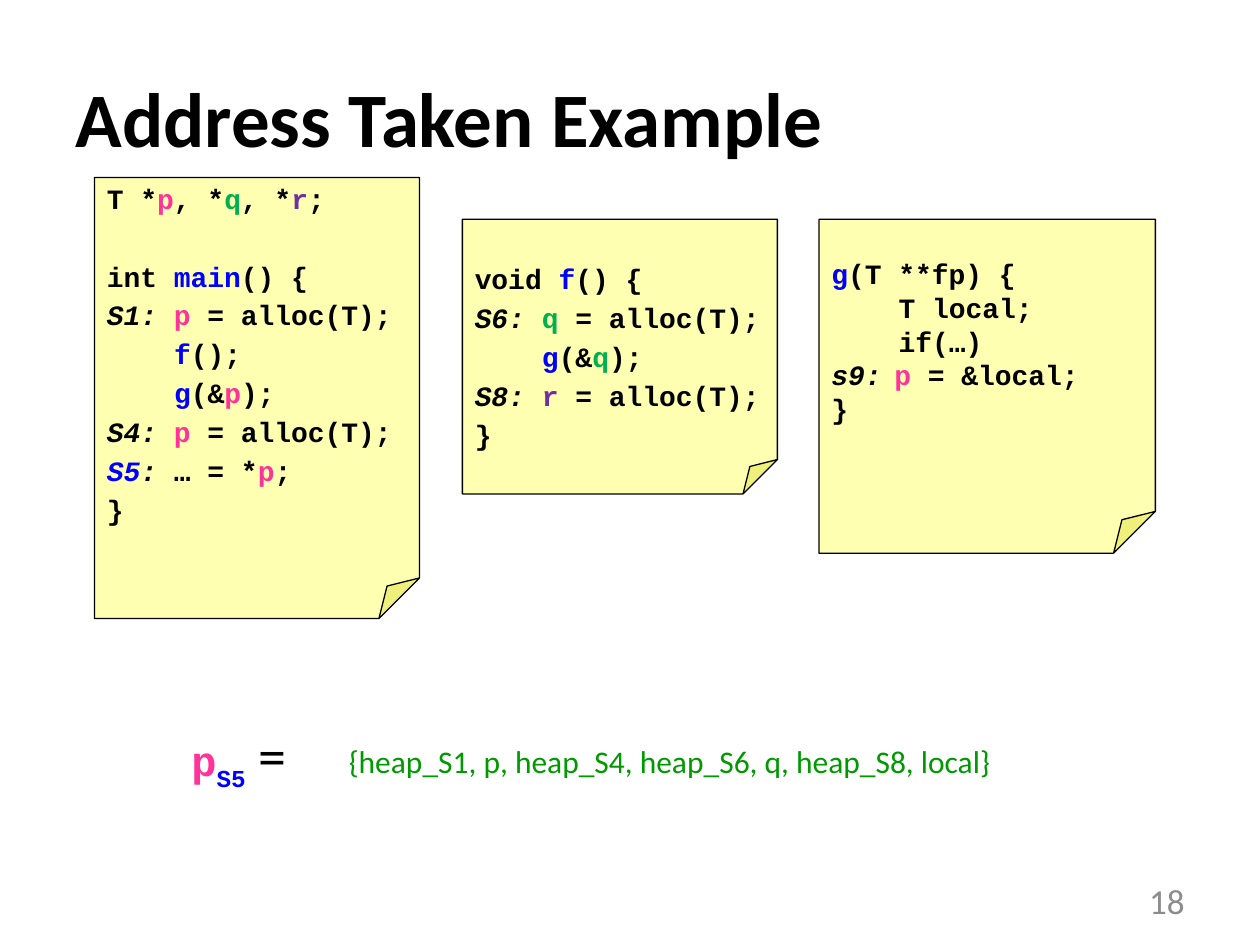
from lxml import etree
from pptx import Presentation
from pptx.dml.color import RGBColor
from pptx.enum.shapes import MSO_SHAPE
from pptx.enum.text import MSO_ANCHOR, PP_ALIGN
from pptx.oxml.ns import qn
from pptx.util import Inches, Pt

FOLDED = MSO_SHAPE.FOLDED_CORNER
MIDDLE = MSO_ANCHOR.MIDDLE
LEFT, RIGHT = PP_ALIGN.LEFT, PP_ALIGN.RIGHT
CODE_FONT, TEXT_FONT = "Courier New", "Calibri"
BLACK, PINK, GREEN, PURPLE, BLUE = "000000", "FF3399", "00B050", "7030A0", "0000FF"
NAME_COLOURS = {"p": PINK, "q": GREEN, "r": PURPLE,
                "f": BLUE, "g": BLUE, "main": BLUE, "S5": BLUE}
CODE_SIZE = 16
CHAR_WIDTH = Pt(0.6 * CODE_SIZE)
CODE_LINE = 1.2 * CODE_SIZE

# Each line is (label, code, columns of indent); names between bars are coloured.
MAIN_CODE = [("", "T *|p|, *|q|, *|r|;", 0),
             ("", "int |main|() {", 0),
             ("S1: ", "|p| = alloc(T);", 0),
             ("", "|f|();", 4),
             ("", "|g|(&|p|);", 4),
             ("S4: ", "|p| = alloc(T);", 0),
             ("|S5|: ", "… = *|p|;", 0),
             ("", "}", 0)]
F_CODE = [("", "void |f|() {", 0),
          ("S6: ", "|q| = alloc(T);", 0),
          ("", "|g|(&|q|);", 4),
          ("S8: ", "|r| = alloc(T);", 0),
          ("", "}", 0)]
G_CODE = [("", "|g|(T **fp) {", 0),
          ("", "T local;", 4),
          ("", "if(…)", 4),
          ("s9:\t", "|p| = &local;", 0),
          ("", "}", 0)]


def rgb(value):
    """Turn a hex string into a colour."""
    return RGBColor.from_string(value)


def style(font, name, size, colour, bold=False):
    """Set the main properties of a font."""
    font.name, font.size, font.bold = name, Pt(size), bold
    font.color.rgb = rgb(colour)


def add_frame(shapes, left, top, width, height):
    """Add a wrapping text box and return its text frame."""
    frame = shapes.add_textbox(*map(Inches, (left, top, width, height))).text_frame
    frame.word_wrap = True
    return frame


def add_title(slide, text):
    """Place and format the title placeholder."""
    title = slide.shapes.title
    title.left, title.top, title.width, title.height = map(Inches, (0.5, 0.3, 9, 1.25))
    title.text_frame.text = text
    title.text_frame.vertical_anchor = MIDDLE
    heading = title.text_frame.paragraphs[0]
    heading.alignment = LEFT
    style(heading.font, TEXT_FONT, 44, BLACK, True)


def add_marked_runs(paragraph, marked, italic=False):
    """Add runs, colouring the names that stand between bars."""
    for index, part in enumerate(marked.split("|")):
        if part:
            run = paragraph.add_run()
            run.text = part
            run.font.italic = italic
            run.font.color.rgb = rgb(NAME_COLOURS[part] if index % 2 else BLACK)


def indent_code(paragraph, columns):
    """Indent a code line and set its tab stop at the seventh column."""
    properties = paragraph._p.get_or_add_pPr()
    properties.set("marL", str(columns * CHAR_WIDTH))
    properties.set("indent", "0")
    tabs = etree.SubElement(properties, qn("a:tabLst"))
    etree.SubElement(tabs, qn("a:tab"), pos=str(7 * CHAR_WIDTH), algn="l")


def add_note(slide, left, top, width, height, lines, text_top, gap=0, gap_line=None):
    """Draw a folded note with code; gap_line is preceded by an open line."""
    group = slide.shapes.add_group_shape().shapes
    sheet = group.add_shape(FOLDED, *map(Inches, (left, top, width, height)))
    fold = sheet._element.spPr.prstGeom.get_or_add_avLst()
    etree.SubElement(fold, qn("a:gd"), name="adj", fmla="val 12500")
    sheet.shadow.inherit = False
    sheet.fill.solid()
    sheet.fill.fore_color.rgb = rgb("FFFF00")
    fill_colour = sheet._element.spPr.find(".//" + qn("a:srgbClr"))
    etree.SubElement(fill_colour, qn("a:alpha"), val="30000")
    sheet.line.color.rgb = rgb(BLACK)
    sheet.line.width = Pt(0.75)

    frame = add_frame(group, left, top + text_top, width + 0.1, height - text_top)
    for number, (label, code, columns) in enumerate(lines):
        paragraph = frame.add_paragraph() if number else frame.paragraphs[0]
        opening = CODE_LINE + gap if number == gap_line else 0
        paragraph.space_before = Pt(gap + opening)
        indent_code(paragraph, columns)
        style(paragraph.font, CODE_FONT, CODE_SIZE, BLACK, True)
        add_marked_runs(paragraph, label, italic=True)
        add_marked_runs(paragraph, code)


def add_points_to(slide, left, top):
    """Write the points-to set of p at S5."""
    equation = add_frame(slide.shapes, left, top, 8.08, 1).paragraphs[0]
    equation.space_before = Pt(6)
    for text, name, size, colour, bold in (("p", CODE_FONT, 24, PINK, True),
                                           ("S5", CODE_FONT, 24, BLUE, True),
                                           (" =", TEXT_FONT, 32, BLACK, False)):
        run = equation.add_run()
        run.text = text
        style(run.font, name, size, colour, bold)
        if text == "S5":
            run.font._element.set("baseline", "-25000")

    members = add_frame(slide.shapes, left + 1.25, top + 0.17, 5.75, 0.4).paragraphs[0]
    members.text = "{heap_S1, p, heap_S4, heap_S6, q, heap_S8, local}"
    style(members.font, TEXT_FONT, 18, "009900")


def add_page_number(slide, number):
    """Write the page number at the bottom right."""
    frame = add_frame(slide.shapes, 7.17, 6.95, 2.33, 0.4)
    frame.vertical_anchor = MIDDLE
    page = frame.paragraphs[0]
    page.text = number
    page.alignment = RIGHT
    style(page.font, TEXT_FONT, 20, "8C8C8C")


def main():
    """Build the slide and save it."""
    deck = Presentation()
    deck.slide_width, deck.slide_height = Inches(10), Inches(7.5)
    slide = deck.slides.add_slide(deck.slide_layouts[5])
    add_title(slide, "Address Taken Example")
    add_note(slide, 0.75, 1.41, 2.58, 3.5, MAIN_CODE, -0.02, gap=3, gap_line=1)
    add_note(slide, 3.67, 1.74, 2.5, 2.18, F_CODE, 0.29, gap=3)
    add_note(slide, 6.5, 1.74, 2.67, 2.65, G_CODE, 0.25)
    add_points_to(slide, 1.42, 5.67)
    add_page_number(slide, "18")
    deck.save("out.pptx")


main()
